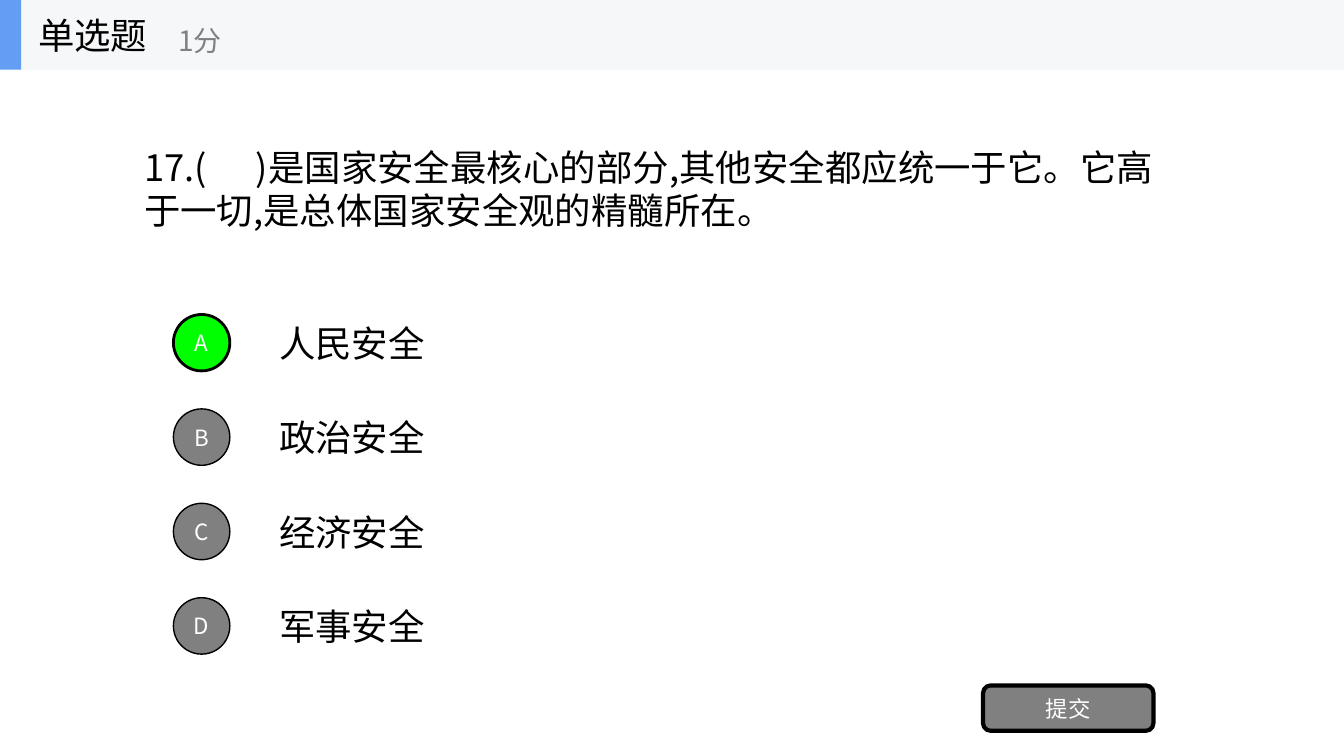
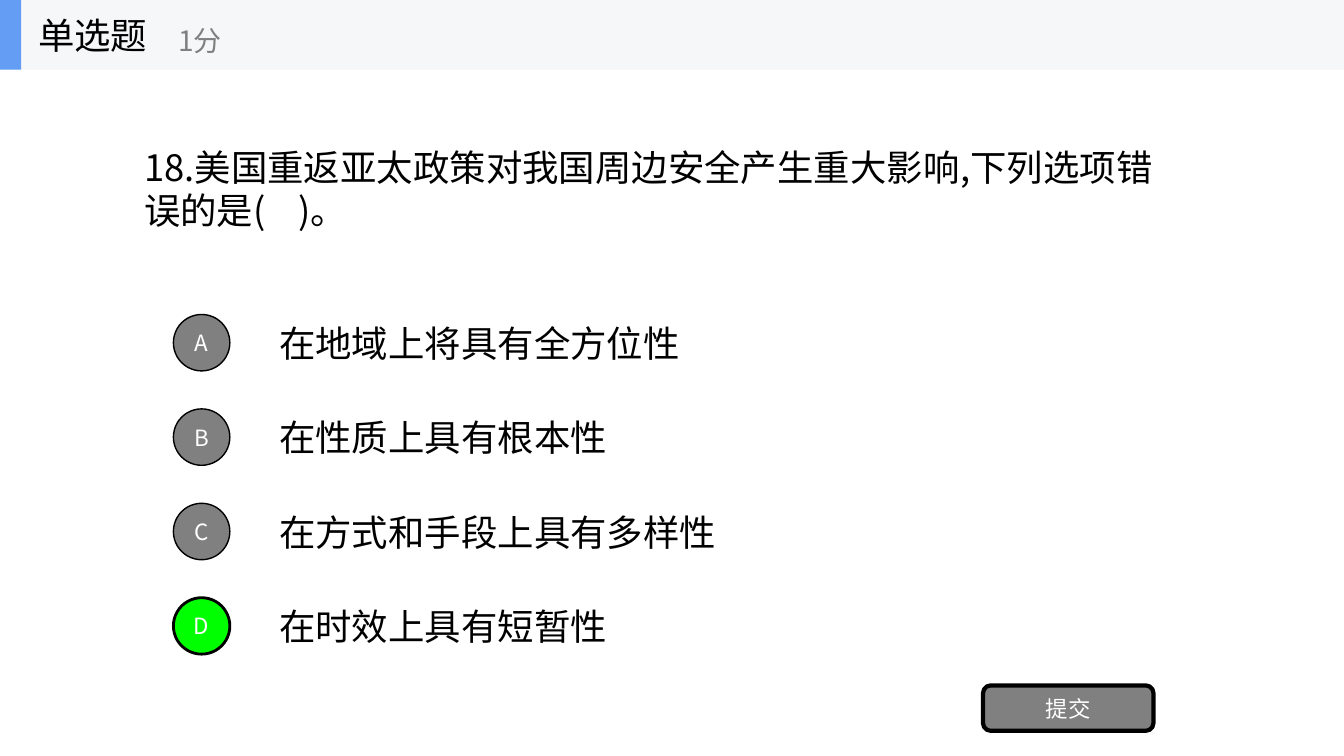
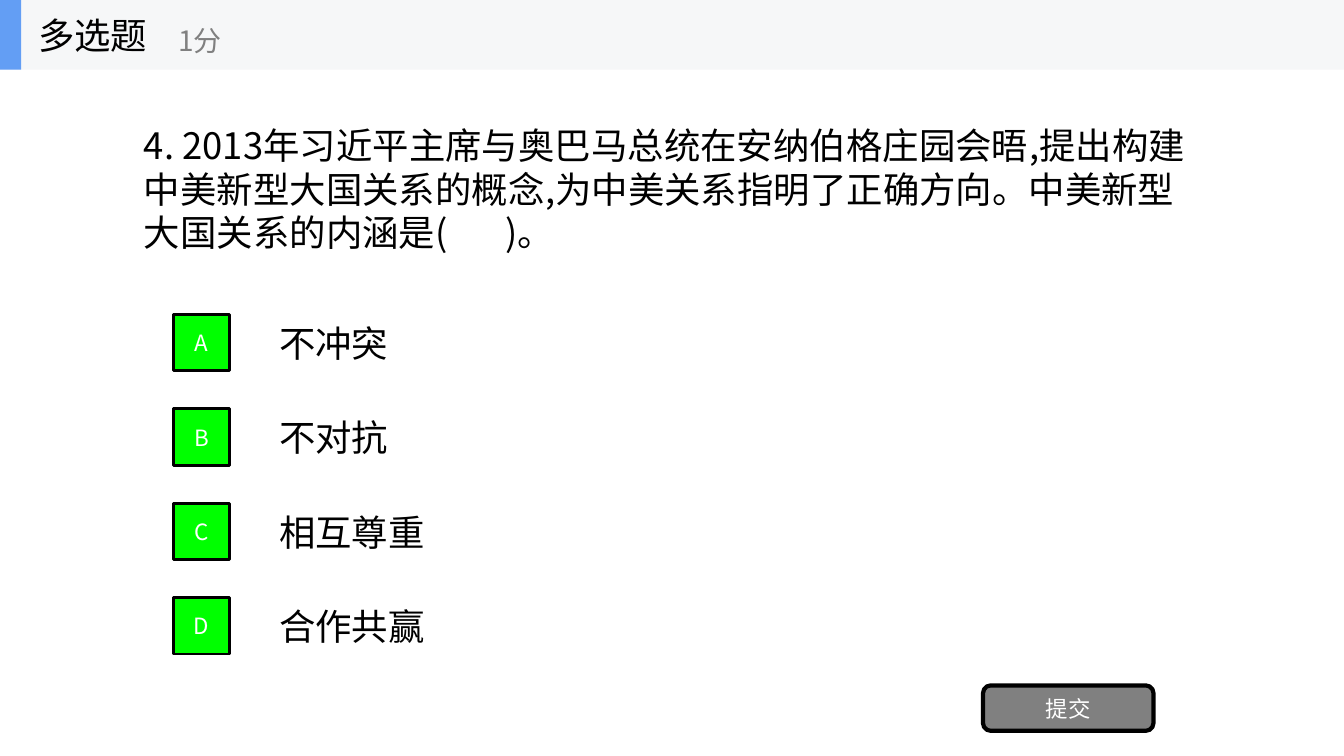
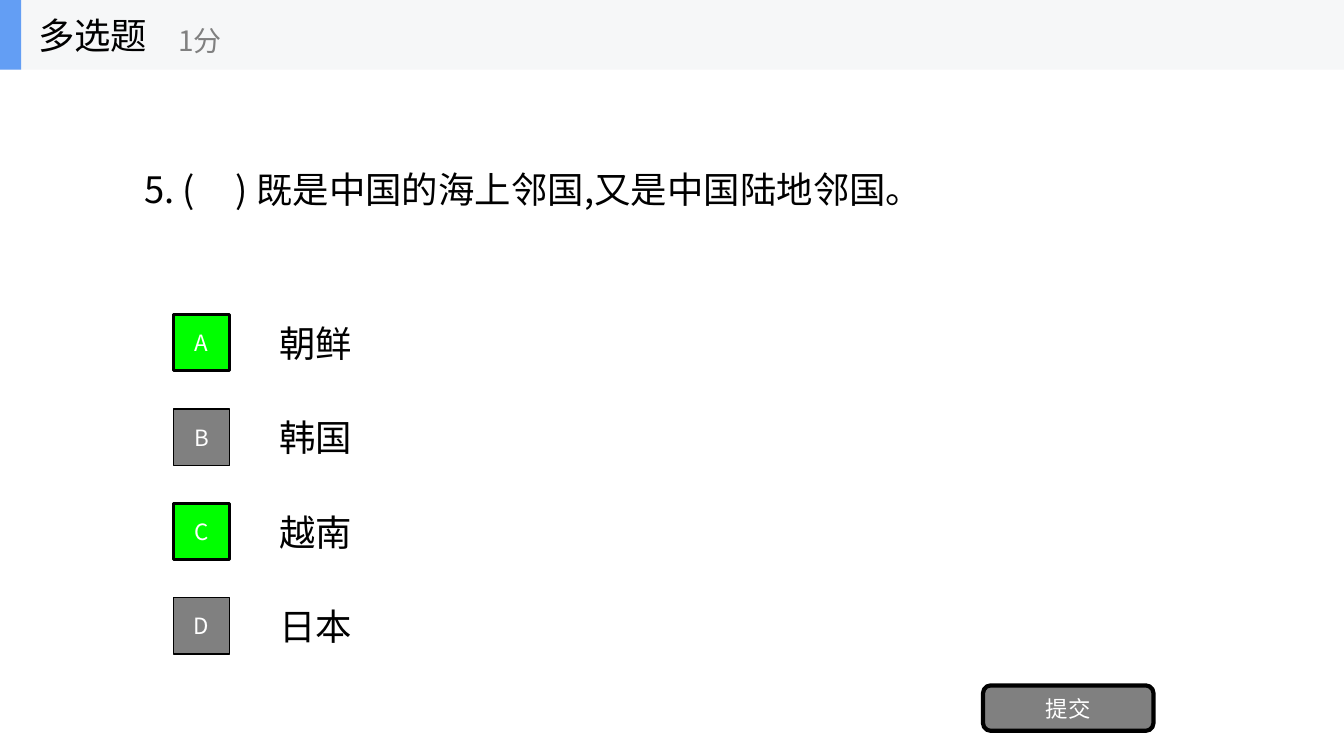
from lxml import etree
from pptx import Presentation, util as u
from pptx.dml.color import RGBColor
from pptx.enum import shapes, text
from pptx.oxml.ns import qn

COLORS = {"band": "F6F7F8", "accent": "639EF4", "ink": "000000",
          "muted": "808080", "correct": "00FF00", "white": "FFFFFF"}
FONT = "Noto Sans CJK SC"
SLIDE_W, SLIDE_H = 13.33, 7.5
BAND_H = 0.69
BODY_SIZE = 26
INSET = 0.1
NB = "\u00a0"
LABEL = {"word_wrap": False}
GROWING = {"word_wrap": True, "auto_size": text.MSO_AUTO_SIZE.SHAPE_TO_FIT_TEXT}
SINGLE = ("单选题", shapes.MSO_SHAPE.OVAL)
MULTIPLE = ("多选题", shapes.MSO_SHAPE.RECTANGLE)

QUESTIONS = [
    {"kind": SINGLE, "width": 10.35, "lines": 2, "correct": "A",
     "stem": f"17.({NB} {NB * 3} )是国家安全最核心的部分,其他安全都应统一于它。"
             "它高于一切,是总体国家安全观的精髓所在。",
     "options": ["人民安全", "政治安全", "经济安全", "军事安全"]},
    {"kind": SINGLE, "width": 10.55, "lines": 2, "correct": "D",
     "stem": "18.美国重返亚太政策对我国周边安全产生重大影响,"
             f"下列选项错误的是({NB} {NB} )。",
     "options": ["在地域上将具有全方位性", "在性质上具有根本性",
                 "在方式和手段上具有多样性", "在时效上具有短暂性"]},
    {"kind": MULTIPLE, "width": 10.57, "lines": 3, "correct": "ABCD",
     "stem": "4. 2013年习近平主席与奥巴马总统在安纳伯格庄园会晤,"
             "提出构建中美新型大国关系的概念,为中美关系指明了正确方向。"
             f"中美新型大国关系的内涵是({NB} {NB} {NB * 3})。",
     "options": ["不冲突", "不对抗", "相互尊重", "合作共赢"]},
    {"kind": MULTIPLE, "width": 8.19, "lines": 1, "correct": "AC",
     "stem": f"5. ({NB * 2} {NB} ) 既是中国的海上邻国,又是中国陆地邻国。",
     "options": ["朝鲜", "韩国", "越南", "日本"]},
]


def rgb(name):
    """Return the named palette colour."""
    return RGBColor.from_string(COLORS[name])


def inches(box):
    """Convert a box of numbers to lengths."""
    return [u.Inches(value) for value in box]


def write(holder, words, size, color, align=text.PP_ALIGN.LEFT, frame_format=None):
    """Put one styled paragraph into a shape or text box."""
    frame = holder.text_frame
    frame_values = {"vertical_anchor": text.MSO_ANCHOR.MIDDLE, **(frame_format or {})}
    for name, value in frame_values.items():
        setattr(frame, name, value)
    paragraph = frame.paragraphs[0]
    paragraph.alignment = align
    run = paragraph.add_run()
    run.text = words
    run.font.color.rgb = rgb(color)
    for name, value in {"size": u.Pt(size), "name": FONT}.items():
        setattr(run.font, name, value)
    etree.SubElement(run.font._element, qn("a:ea"), typeface=FONT)


def add_words(parent, box, words, size, color, frame_format):
    """Add a left-aligned text box."""
    write(parent.add_textbox(*inches(box)), words, size, color,
          frame_format=frame_format)


def add_block(parent, outline, box, fill, line_width=0):
    """Add a flat filled shape, outlined when a line width is given."""
    block = parent.add_shape(outline, *inches(box))
    block.shadow.inherit = False
    block.fill.solid()
    block.fill.fore_color.rgb = rgb(fill)
    if line_width:
        block.line.color.rgb = rgb("ink")
        block.line.width = u.Pt(line_width)
    else:
        block.line.fill.background()
    return block


def add_button(parent, outline, box, words, fill, line_width):
    """Add an outlined shape with a centred white caption."""
    write(add_block(parent, outline, box, fill, line_width), words, 16, "white",
          text.PP_ALIGN.CENTER)


def header(slide, box, kind_name):
    """Draw the grouped title band with question kind and score."""
    left, top, width, height = box
    band = slide.shapes.add_group_shape().shapes
    for part_width, fill in ((width, "band"), (0.21, "accent")):
        add_block(band, shapes.MSO_SHAPE.RECTANGLE,
                  (left, top, part_width, height), fill)
    add_words(band, (left + 0.28, top, 2.08, height), kind_name,
              BODY_SIZE, "ink", LABEL)
    add_words(band, (left + 1.67, top + 0.12, 2.5, 0.56), "1分", 20, "muted", LABEL)


def stem(slide, box, words, lines):
    """Centre the question vertically in its box."""
    left, top, width, height = box
    stem_h = 0.1 + 0.435 * lines
    add_words(slide.shapes, (left, top + (height - stem_h) / 2, width, stem_h),
              words, BODY_SIZE, "ink", GROWING)


def options(slide, box, outline, choices, correct):
    """Spread lettered markers and their answers evenly down the box."""
    left, top, _, height = box
    marker, label_h = 0.56, 0.53
    pitch = (height - marker) / (len(choices) - 1)
    for row, (letter, choice) in enumerate(zip("ABCD", choices)):
        row_top = top + row * pitch
        label_w = len(choice) * BODY_SIZE / 72 + 3 * INSET
        add_words(slide.shapes,
                  (left + 0.95, row_top + (marker - label_h) / 2, label_w, label_h),
                  choice, BODY_SIZE, "ink", GROWING)
        fill, line_width = ("correct", 2) if letter in correct else ("muted", 1)
        add_button(slide.shapes, outline, (left, row_top, marker, marker),
                   letter, fill, line_width)


def question_slide(deck, question):
    """Build one quiz slide from its question data."""
    slide = deck.slides.add_slide(deck.slide_layouts[6])
    kind_name, outline = question["kind"]
    header(slide, (0, 0, SLIDE_W, BAND_H), kind_name)
    stem(slide, (1.33, 1.17, question["width"], 1.4),
         question["stem"], question["lines"])
    options(slide, (1.72, 3.12, 10, 3.37), outline,
            question["options"], question["correct"])
    add_button(slide.shapes, shapes.MSO_SHAPE.ROUNDED_RECTANGLE,
               (9.75, 6.8, 1.69, 0.45), "提交", "muted", 3)


def main():
    """Build and save the quiz."""
    deck = Presentation()
    deck.slide_width, deck.slide_height = inches((SLIDE_W, SLIDE_H))
    for question in QUESTIONS:
        question_slide(deck, question)
    deck.save("out.pptx")


main()
